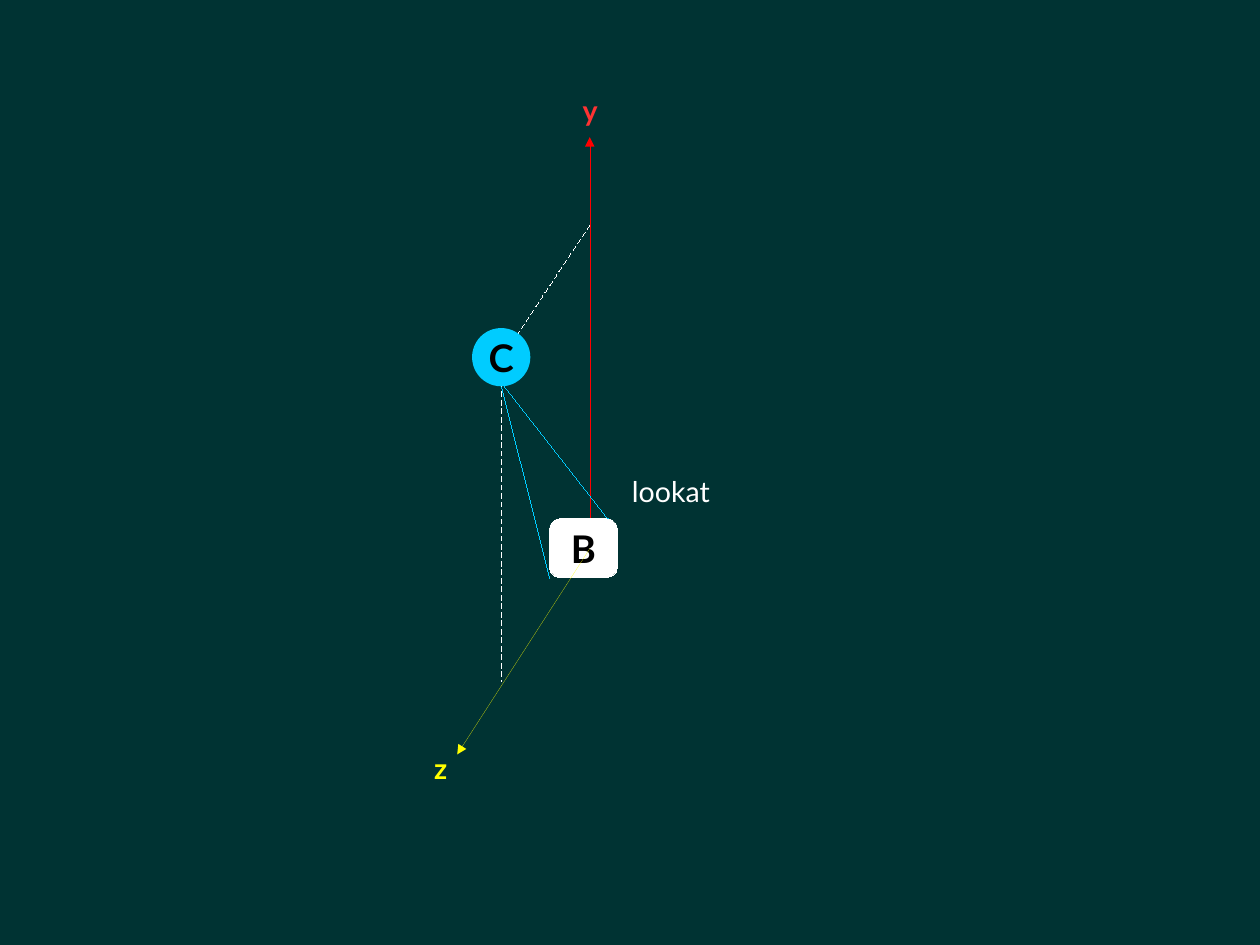
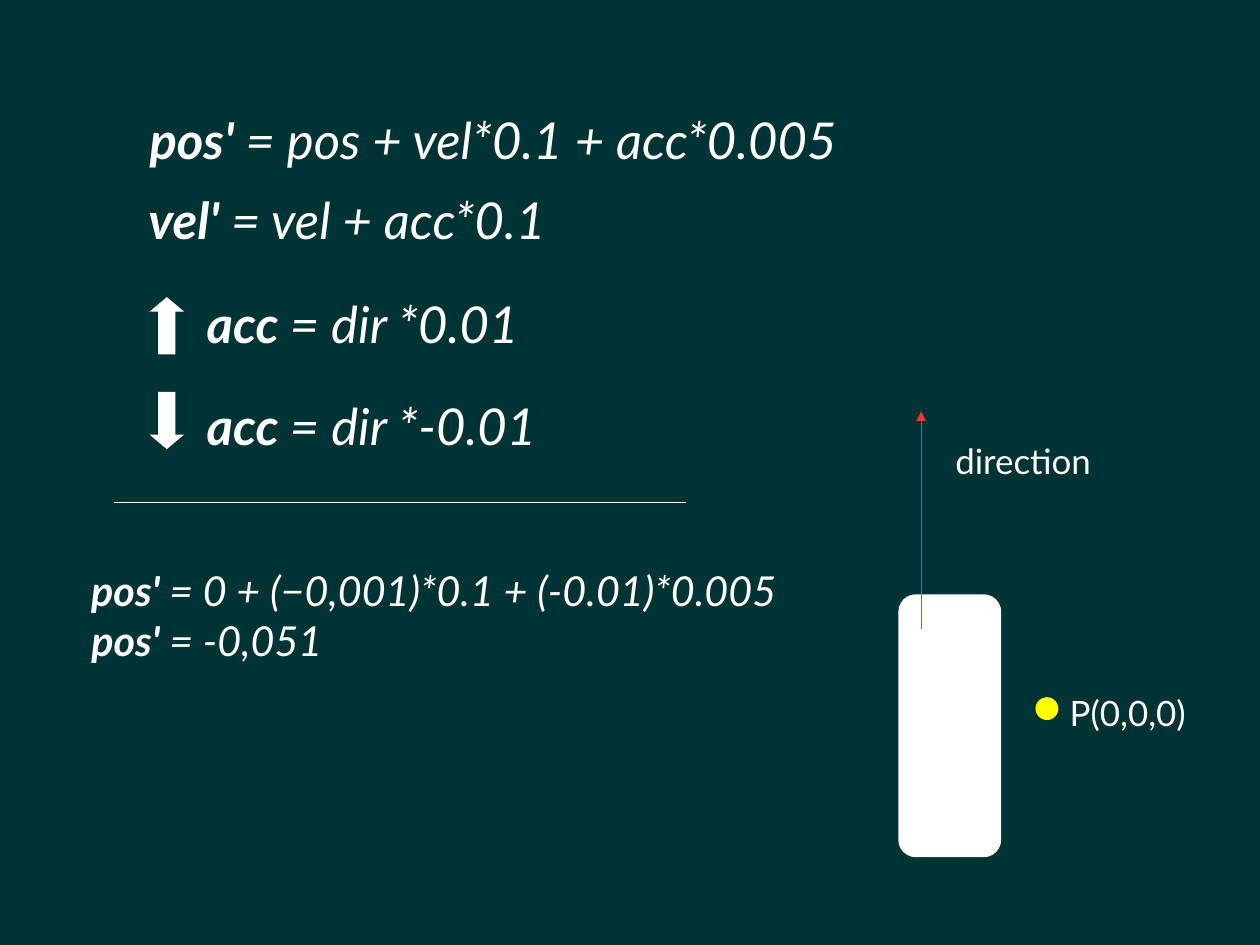
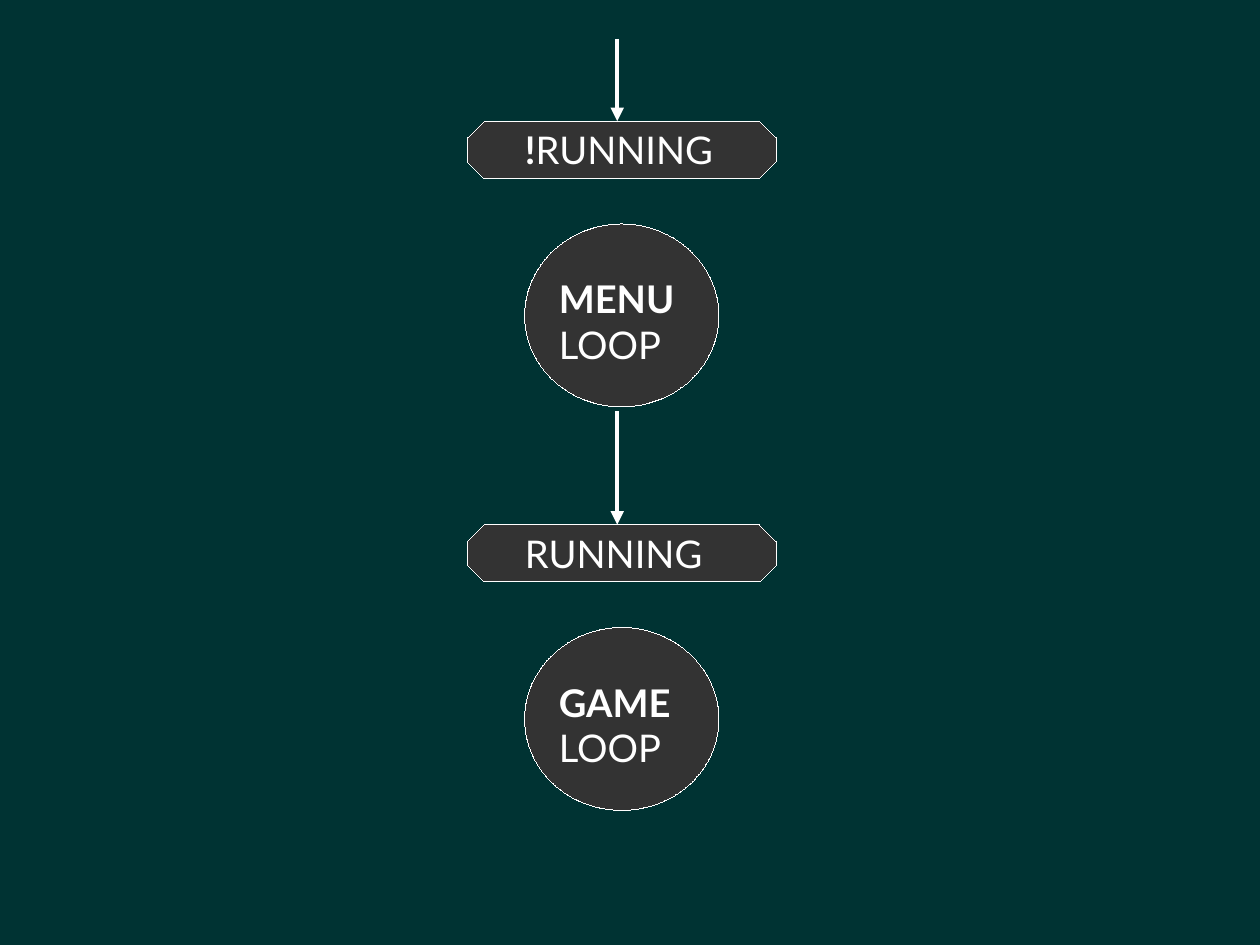
from pptx import Presentation
from pptx.dml.color import RGBColor
from pptx.enum import dml, shapes, text
from pptx.oxml import ns, xmlchemy
from pptx.util import Cm, Inches, Pt

BACKGROUND = RGBColor(0x00, 0x33, 0x33)
WHITE = RGBColor(0xFF, 0xFF, 0xFF)
BLACK = RGBColor(0x00, 0x00, 0x00)
CHARCOAL = RGBColor(0x33, 0x33, 0x33)
CYAN = RGBColor(0x00, 0xCC, 0xFF)
YELLOW = RGBColor(0xFF, 0xFF, 0x00)
RED = RGBColor(0xFF, 0x00, 0x00)
CORAL = RGBColor(0xFF, 0x33, 0x33)
FONT = "Lato"
HAIRLINE = 0.01
PRESET = shapes.MSO_SHAPE


def add_runs(paragraph, runs, size, color, italic=False):
    for words, bold in runs:
        run = paragraph.add_run()
        run.text = words
        font = run.font
        font.name = FONT
        font.size = Pt(size)
        font.bold = bold
        font.italic = italic
        font.color.rgb = color


def add_label(slide, left, top, width, height, runs, size, color=WHITE, italic=False):
    box = slide.shapes.add_textbox(Inches(left), Inches(top), Inches(width), Inches(height))
    box.text_frame.word_wrap = False
    add_runs(box.text_frame.paragraphs[0], runs, size, color, italic)


def add_figure(slide, preset, left, top, width, height, fill, outline=None, corner=None):
    shape = slide.shapes.add_shape(
        preset, Inches(left), Inches(top), Inches(width), Inches(height))
    shape.shadow.inherit = False
    shape.fill.solid()
    shape.fill.fore_color.rgb = fill
    if outline is None:
        shape.line.fill.background()
    else:
        shape.line.color.rgb = outline
        shape.line.width = Pt(HAIRLINE)
    if corner is not None:
        shape.adjustments[0] = corner
    return shape


def write_inside(shape, lines, color, align, inset_left=0, inset_top=0):
    frame = shape.text_frame
    frame.word_wrap = False
    frame.vertical_anchor = text.MSO_ANCHOR.MIDDLE
    frame.margin_left, frame.margin_top = Inches(inset_left), Inches(inset_top)
    frame.margin_right = frame.margin_bottom = 0
    for index, runs in enumerate(lines):
        paragraph = frame.add_paragraph() if index else frame.paragraphs[0]
        paragraph.alignment = align
        add_runs(paragraph, runs, 24, color)


def add_line(slide, start, end, color, width=HAIRLINE, arrow=False, dashed=False):
    connector = slide.shapes.add_connector(
        shapes.MSO_CONNECTOR.STRAIGHT, *map(Inches, start + end))
    connector.line.color.rgb = color
    connector.line.width = Pt(width)
    if dashed:
        connector.line.dash_style = dml.MSO_LINE.DASH
    properties = connector._element.spPr
    if arrow:
        tail = xmlchemy.OxmlElement("a:tailEnd")
        tail.set("type", "triangle")
        properties.find(ns.qn("a:ln")).append(tail)
    properties.append(xmlchemy.OxmlElement("a:effectLst"))


def draw_camera_view(slide, left, top):
    def at(x, y):
        return left + x, top + y

    camera = at(0.69, 2.37)
    center = text.PP_ALIGN.CENTER
    add_line(slide, at(1.46, 3.91), at(1.46, 0.44), RED, arrow=True)
    target = add_figure(slide, PRESET.ROUNDED_RECTANGLE, *at(1.11, 3.78), 0.59, 0.51,
                        WHITE, WHITE, 0.17)
    write_inside(target, [[("B", True)]], BLACK, center)
    add_line(slide, at(1.46, 4.04), at(0.3, 5.84), YELLOW, arrow=True)
    add_line(slide, at(1.46, 1.21), camera, WHITE, dashed=True)
    add_line(slide, camera, at(0.69, 5.2), WHITE, dashed=True)
    eye = add_figure(slide, PRESET.OVAL, *at(0.43, 2.11), 0.51, 0.51, CYAN)
    write_inside(eye, [[("C", True)]], BLACK, center)
    add_label(slide, *at(1.3, 0), 0.3, 0.44, [("y", True)], 18, CORAL)
    add_label(slide, *at(0, 5.76), 0.3, 0.44, [("z", True)], 18, YELLOW)
    add_line(slide, at(0.69, 2.59), at(1.62, 3.78), CYAN)
    add_line(slide, at(0.69, 2.63), at(1.11, 4.3), CYAN)
    add_label(slide, *at(1.73, 3.34), 0.92, 0.4, [("lookat", False)], 18)


def draw_equations(slide, left, top):
    equations = [
        (0.51, 0, 6.59, 32, "pos' ", "= pos + vel*0.1 + acc*0.005"),
        (0.5, 0.7, 3.94, 32, "vel' ", "= vel + acc*0.1"),
        (1.01, 1.61, 3.14, 32, "acc ", "= dir *0.01"),
        (1.01, 2.5, 3.28, 32, "acc ", "= dir *-0.01"),
        (0, 4, 6.47, 26, "pos' ", "= 0 + (−0,001)*0.1 + (-0.01)*0.005"),
        (0, 4.43, 2.29, 26, "pos' ", "= -0,051"),
    ]
    for x, y, width, size, name, value in equations:
        add_label(slide, left + x, top + y, width, 0.7 if size == 32 else 0.59,
                  [(name, True), (value, False)], size, italic=True)
    for preset, y in ((PRESET.UP_ARROW, 1.7), (PRESET.DOWN_ARROW, 2.53)):
        key = add_figure(slide, preset, left + 0.61, top + y, 0.3, 0.5, WHITE)
        key.adjustments[1] = 0.42
    add_line(slide, (left + 0.3, top + 3.5), (left + 5.3, top + 3.5), WHITE)


def draw_vehicle(slide, left, top):
    add_figure(slide, PRESET.ROUNDED_RECTANGLE, left, top + 1.6, 0.9, 2.3, WHITE, corner=0.17)
    add_figure(slide, PRESET.OVAL, left + 1.2, top + 2.5, 0.2, 0.2, YELLOW)
    add_label(slide, left + 1.4, top + 2.4, 1.25, 0.52, [("P(0,0,0)", False)], 22)
    add_line(slide, (left + 0.2, top + 1.9), (left + 0.2, top), CORAL, arrow=True)
    add_label(slide, left + 0.4, top + 0.2, 1.44, 0.52, [("direction", False)], 22)


def draw_loop_stage(slide, left, top, arrow_length, condition, loop_name):
    align = text.PP_ALIGN.LEFT
    state = add_figure(slide, PRESET.OCTAGON, left, top, 2.7, 0.5, CHARCOAL, WHITE, 0.29)
    write_inside(state, [condition], WHITE, align, inset_left=0.43)
    loop = add_figure(slide, PRESET.OVAL, left + 0.5, top + 0.9, 1.7, 1.6, CHARCOAL, WHITE)
    write_inside(loop, [[(loop_name, True)], [("LOOP", False)]], WHITE, align, 0.05, 0.1)
    add_line(slide, (left + 1.31, top - arrow_length), (left + 1.31, top), WHITE, 2.83, arrow=True)


def main():
    presentation = Presentation()
    presentation.slide_width = Cm(28)
    presentation.slide_height = Cm(21)
    backdrop = presentation.slide_master.background.fill
    backdrop.solid()
    backdrop.fore_color.rgb = BACKGROUND
    blank = presentation.slide_layouts[6]
    camera_slide, motion_slide, loop_slide = (
        presentation.slides.add_slide(blank) for _ in range(3))

    draw_camera_view(camera_slide, 3.7, 0.76)
    draw_vehicle(motion_slide, 7.86, 3.6)
    draw_equations(motion_slide, 0.7, 0.9)
    stages = [
        (1.06, 0.72, [("!", True), ("RUNNING", False)], "MENU"),
        (4.59, 0.99, [("RUNNING", False)], "GAME"),
    ]
    for top, arrow_length, condition, loop_name in stages:
        draw_loop_stage(loop_slide, 4.09, top, arrow_length, condition, loop_name)

    presentation.save("out.pptx")


if __name__ == "__main__":
    main()
